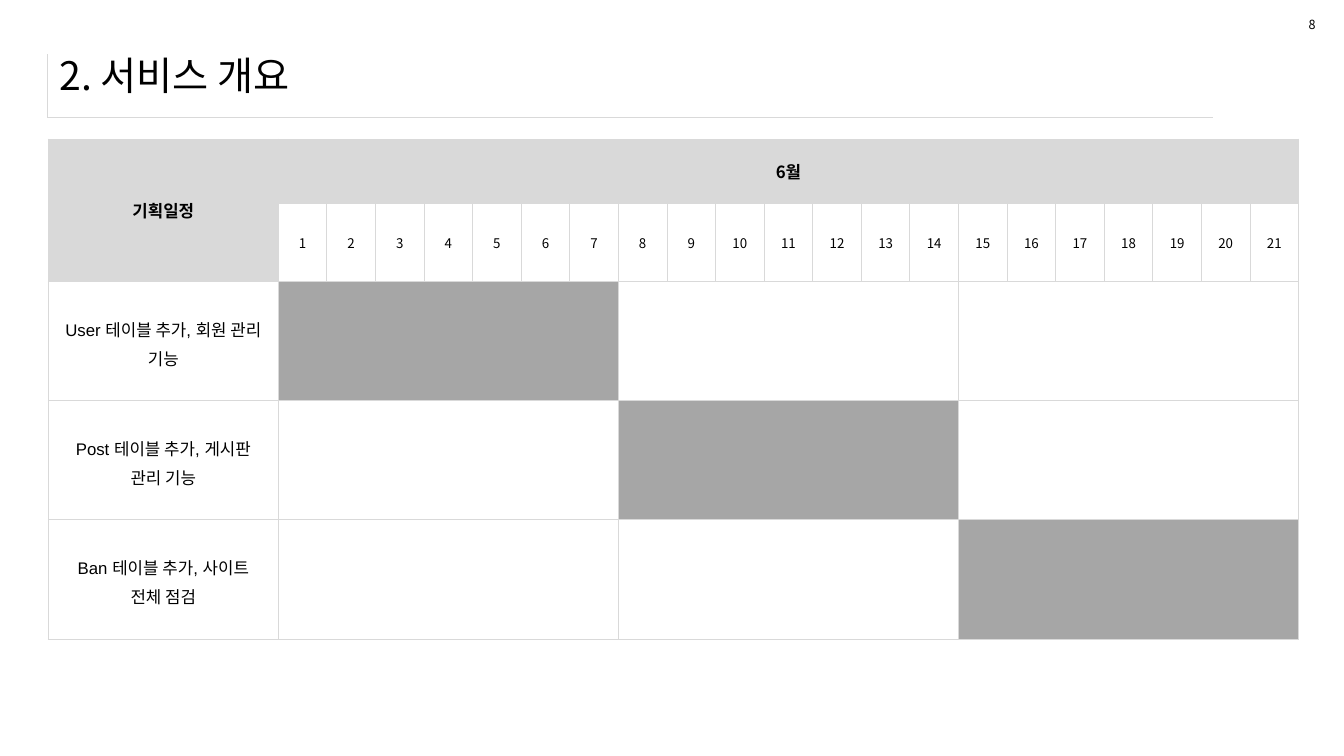
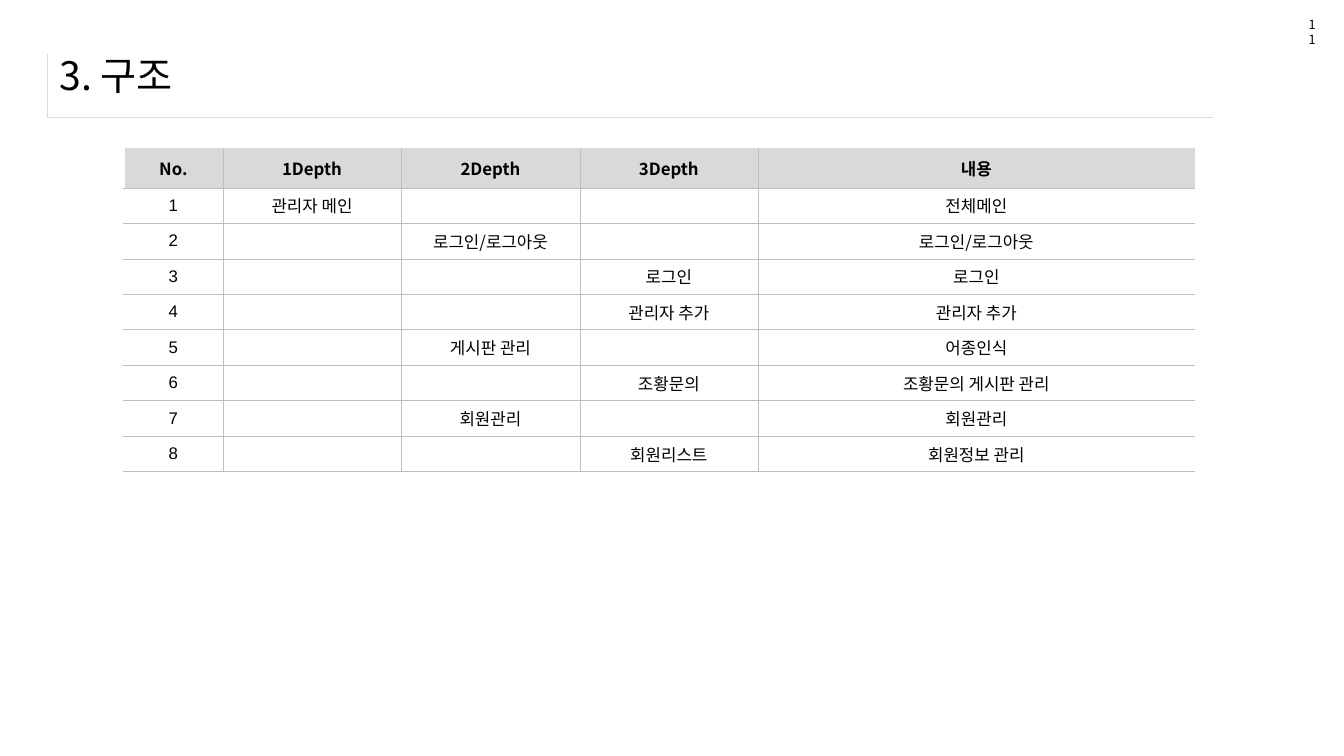
from dataclasses import dataclass

from lxml.etree import SubElement
from pptx import Presentation
from pptx.dml.color import RGBColor as Rgb
from pptx.enum.text import MSO_ANCHOR as Anchor, PP_ALIGN as Align
from pptx.oxml.ns import qn
from pptx.util import Inches, Pt


@dataclass(frozen=True)
class Theme:
    """Colours, fonts, type sizes and line widths of the deck."""
    ink: str = "000000"
    paper: str = "FFFFFF"
    header: str = "D9D9D9"
    grid: str = "BFBFBF"
    bar: str = "A6A6A6"
    korean: str = "Noto Sans CJK KR"
    latin: str = "Arial"
    title: float = 28
    body: float = 12
    day: float = 9.5
    page: float = 9
    rule: float = 0.25
    frame: float = 0.75
    edge: float = 1
    no_style: str = "{2D5ABB26-0587-4C30-8999-92F81FD0307C}"


THEME = Theme()
WIDTH, HEIGHT = 13.33, 7.5
TITLE_BOX = (0.5, 0.41, 12.49, 0.67)
PAGE_BOX = (12.88, 0.12, 0.27, 0.25)
RULE_BOX = (0.47, 0.54, 11.56, 0.62)
SCHEDULE_BOX = (0.48, 1.38, 12.4, 4.96)
STRUCTURE_BOX = (1.23, 1.47, 10.62, 3.21)

WEEK, WEEKS = 7, 3
TASKS = [
    "User 테이블 추가, 회원 관리 기능",
    "Post 테이블 추가, 게시판 관리 기능",
    "Ban 테이블 추가, 사이트 전체 점검",
]
HEADINGS = ["No.", "1Depth", "2Depth", "3Depth", "내용"]
PAGES = [
    (1, "관리자 메인", "전체메인"),
    (2, "로그인/로그아웃", "로그인/로그아웃"),
    (3, "로그인", "로그인"),
    (3, "관리자 추가", "관리자 추가"),
    (2, "게시판 관리", "어종인식"),
    (3, "조황문의", "조황문의 게시판 관리"),
    (2, "회원관리", "회원관리"),
    (3, "회원리스트", "회원정보 관리"),
]


def write(frame, words, size, face=THEME.korean, bold=False, align=Align.LEFT):
    """Put one styled paragraph into a text frame and return it."""
    line = frame.paragraphs[0]
    line.text = words
    line.alignment = align
    font = line.font
    font.size, font.bold, font.name = Pt(size), bold, face
    font.color.rgb = Rgb.from_string(THEME.ink)
    font._element.set("kern", "0")
    SubElement(font._element, qn("a:ea"), typeface=THEME.korean)
    return line


def add_label(slide, box, words, size, inset):
    """Add a wrapping text box and return its frame."""
    frame = slide.shapes.add_textbox(*map(Inches, box)).text_frame
    frame.word_wrap = True
    frame.margin_left = frame.margin_right = Inches(inset)
    write(frame, words, size)
    return frame


def add_grid(slide, box, columns, rows):
    """Add a plain table whose columns and rows share the box by weight."""
    table = slide.shapes.add_table(len(rows), len(columns), *map(Inches, box)).table
    table.first_row = table.horz_banding = False
    table._tbl.tblPr.find(qn("a:tableStyleId")).text = THEME.no_style
    for column, weight in zip(table.columns, columns):
        column.width = Inches(box[2] * weight / sum(columns))
    for row, weight in zip(table.rows, rows):
        row.height = Inches(box[3] * weight / sum(rows))
    return table


def set_cell(cell, words, fill, line, sides="LRTB", left=None, **style):
    """Border, fill and label one table cell; return its paragraph."""
    lines = {side: line for side in sides}
    if left:
        lines["L"] = left
    for side in "LRTB":
        colour, width = lines.get(side, (None, 0))
        edge = SubElement(cell._tc.get_or_add_tcPr(), qn(f"a:ln{side}"), w=str(Pt(width)))
        if colour:
            SubElement(SubElement(edge, qn("a:solidFill")), qn("a:srgbClr"), val=colour)
        else:
            SubElement(edge, qn("a:noFill"))
    cell.fill.solid()
    cell.fill.fore_color.rgb = Rgb.from_string(fill)
    cell.vertical_anchor = Anchor.MIDDLE
    cell.margin_left = cell.margin_right = Inches(0.12)
    cell.margin_top = cell.margin_bottom = Inches(0.02)
    return write(cell.text_frame, words, **{"size": THEME.body, "align": Align.CENTER, **style})


def add_page(deck, title, number):
    """Add a slide with the shared title, title frame and page number."""
    slide = deck.slides.add_slide(deck.slide_layouts[6])
    title_frame = add_grid(slide, RULE_BOX, [1], [1])
    set_cell(title_frame.cell(0, 0), "", THEME.paper, (THEME.header, THEME.rule), "LB")
    add_label(slide, TITLE_BOX, title, THEME.title, 0.09).vertical_anchor = Anchor.MIDDLE
    add_label(slide, PAGE_BOX, str(number), THEME.page, 0.1)
    return slide


def add_schedule(slide, box):
    """Draw the month plan: a header, the days, and one weekly bar per task."""
    days = WEEK * WEEKS
    table = add_grid(slide, box, [2.28] + [10.12 / days] * days,
                     [0.64, 0.77] + [1.18] * len(TASKS))
    line = (THEME.header, THEME.frame)
    month = ["기획일정", "6월"] + [""] * (days - 1)
    for column, words in enumerate(month):
        set_cell(table.cell(0, column), words, THEME.header, line, bold=True)
    set_cell(table.cell(1, 0), "", THEME.header, line)
    for day in range(1, days + 1):
        set_cell(table.cell(1, day), str(day), THEME.paper, line, size=THEME.day)
    table.cell(0, 0).merge(table.cell(1, 0))
    table.cell(0, 1).merge(table.cell(0, days))
    for task, words in enumerate(TASKS):
        row = task + 2
        set_cell(table.cell(row, 0), words, THEME.paper, line,
                 face=THEME.latin).line_spacing = 1.2
        for day in range(days):
            week, weekday = divmod(day, WEEK)
            sides = "L" * (weekday == 0) + "R" * (weekday == WEEK - 1) + "TB"
            fill = THEME.bar if week == task else THEME.paper
            set_cell(table.cell(row, day + 1), "", fill, line, sides)


def add_structure(slide, box):
    """Draw the site structure, each page name in the column of its depth."""
    line, outer = (THEME.grid, THEME.rule), (THEME.paper, THEME.edge)
    last = len(HEADINGS) - 1
    table = add_grid(slide, box, [0.98, 1.77, 1.77, 1.77, 4.33],
                     [0.39] + [0.35] * len(PAGES))
    records = [HEADINGS]
    for number, (depth, name, content) in enumerate(PAGES, 1):
        levels = [name if level == depth else "" for level in range(1, last)]
        records.append([str(number), *levels, content])
    for row, record in enumerate(records):
        heading = row == 0
        for column, words in enumerate(record):
            sides = "L" + "R" * (column < last) + "T" * (not heading) + "B"
            korean = heading or column > 2 or "/" in words
            set_cell(table.cell(row, column), words,
                     THEME.header if heading else THEME.paper, line, sides,
                     left=outer if column == 0 else None, bold=heading,
                     face=THEME.korean if korean else THEME.latin)


def build():
    """Build the deck and save it."""
    deck = Presentation()
    deck.slide_width, deck.slide_height = Inches(WIDTH), Inches(HEIGHT)
    add_schedule(add_page(deck, "2. 서비스 개요", 8), SCHEDULE_BOX)
    add_structure(add_page(deck, "3. 구조", 11), STRUCTURE_BOX)
    deck.save("out.pptx")


build()
